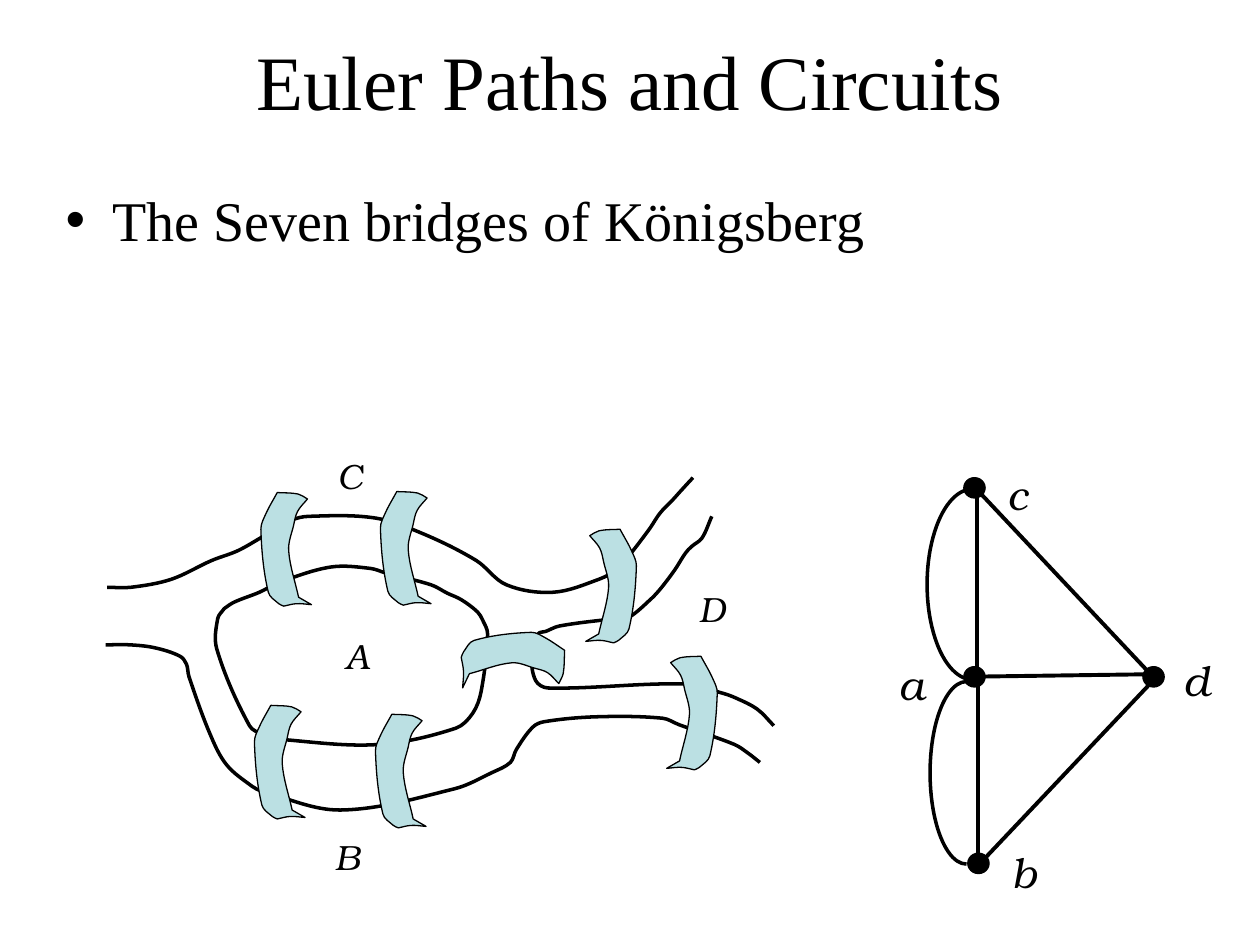
from dataclasses import dataclass
from math import hypot

from lxml.etree import SubElement
from pptx import Presentation
from pptx.dml.color import RGBColor
from pptx.enum.shapes import MSO_CONNECTOR, MSO_SHAPE
from pptx.enum.text import MSO_ANCHOR, MSO_AUTO_SIZE, PP_ALIGN
from pptx.oxml.ns import qn
from pptx.util import Cm, Pt


@dataclass(frozen=True)
class Theme:
    ink: RGBColor = RGBColor(0, 0, 0)
    bridge: RGBColor = RGBColor(0xBB, 0xE0, 0xE3)
    font: str = "Times New Roman"
    label_font: str = "TeX Gyre Bonum"
    title: Pt = Pt(44)
    body: Pt = Pt(32)
    node_label: Pt = Pt(24)
    land_label: Pt = Pt(20)
    thin: Pt = Pt(0.75)
    bank: Pt = Pt(2)
    edge: Pt = Pt(2.25)


@dataclass(frozen=True)
class Box:
    left: float
    top: float
    width: float
    height: float

    def inner(self, x, y, w, h):
        return Cm(self.left + x), Cm(self.top + y), Cm(w), Cm(h)


THEME = Theme()
LABEL_WIDTH = 1.02

NORTH_BANK = [
    (0.06, 2.84), (0.54, 2.84), (1.35, 2.68), (2.17, 2.3), (2.7, 2.1), (3.28, 1.77),
    (3.77, 1.49), (4.12, 1.41), (5.44, 1.44), (6.38, 1.74), (7.5, 2.3), (8.11, 2.79),
    (9.05, 2.94), (9.97, 2.68), (10.37, 2.46), (10.6, 2.18), (10.78, 1.95),
    (11.01, 1.64), (11.21, 1.34), (11.46, 1.08), (11.64, 0.88), (11.87, 0.63),
]
ISLAND = [
    (2.42, 3.27), (2.62, 3.14), (3.13, 2.94), (3.56, 2.73), (4.58, 2.43), (5.37, 2.46),
    (5.7, 2.56), (6.59, 2.79), (6.92, 2.96), (7.2, 3.09), (7.53, 3.34), (7.63, 3.5),
    (7.73, 3.78), (7.6, 4.94), (7.43, 5.38), (7.09, 5.68), (5.52, 6.01), (3.62, 5.91),
    (3.21, 5.81), (2.93, 5.63), (2.27, 4.08), (2.29, 3.47), (2.42, 3.27),
]
SOUTH_BANK = [
    (0.03, 4), (0.52, 4), (1.02, 4.06), (1.53, 4.23), (1.66, 4.39), (1.71, 4.64),
    (2.14, 5.81), (2.47, 6.42), (2.98, 6.85), (3.18, 6.95), (4.76, 7.33), (7.07, 6.9),
    (7.83, 6.57), (8.19, 6.37), (8.31, 6.11), (8.64, 5.66), (8.87, 5.55), (9.94, 5.45),
    (11.26, 5.48), (11.59, 5.61), (12.71, 6.01), (12.99, 6.19), (13.22, 6.37),
]
EAST_BANK = [
    (12.25, 1.41), (12.05, 1.85), (11.84, 2.02), (11.72, 2.15), (11.51, 2.48),
    (11.24, 2.84), (11.03, 3.07), (10.57, 3.45), (10.32, 3.47), (9.18, 3.62),
    (8.9, 3.73), (8.75, 3.78), (8.62, 4.23), (8.7, 4.72), (8.95, 4.87), (11.72, 4.79),
    (12.45, 4.97), (12.73, 5.07), (13.17, 5.3), (13.5, 5.63),
]
BRIDGE_SIZE = (1.02, 2.34)
BRIDGE = [
    (0.33, 0.05), (0.1, 0.48), (0, 0.79), (0.15, 2.06), (0.36, 2.29), (0.46, 2.34),
    (0.72, 2.29), (1.02, 2.31), (0.76, 2.16), (0.56, 1.22), (0.66, 0.71), (0.74, 0.43),
    (0.94, 0.18), (0.75, 0.08), (0.33, 0.05),
]
BRIDGE_CORNERS = {5, 7, 8, 12}


def add_run(p, text, font, size, italic=False):
    r = p.add_run()
    r.text = text
    r.font.name = font
    r.font.size = size
    r.font.italic = italic
    r.font.color.rgb = THEME.ink


def place(sp, box):
    sp.left, sp.top, sp.width, sp.height = box.inner(0, 0, box.width, box.height)


def style(sp, width, fill=None):
    sp.shadow.inherit = False
    sp.line.color.rgb = THEME.ink
    sp.line.width = width
    if fill is None:
        sp.fill.background()
    else:
        sp.fill.solid()
        sp.fill.fore_color.rgb = fill


def smooth_outline(sp, corners):
    pts = [(int(pt.get("x")), int(pt.get("y"))) for pt in sp.element.iter(qn("a:pt"))]
    sharp = corners | {0, len(pts) - 1}

    def handle(i, start, end, sign):
        length = hypot(end[0] - start[0], end[1] - start[1])
        (x0, y0), (x1, y1) = (start, end) if i in sharp else (pts[i - 1], pts[i + 1])
        reach = sign * length / 3 / hypot(x1 - x0, y1 - y0)
        return pts[i][0] + (x1 - x0) * reach, pts[i][1] + (y1 - y0) * reach

    for i, seg in enumerate(list(sp.element.iter(qn("a:lnTo")))):
        start, end = pts[i], pts[i + 1]
        seg.clear()
        curve = SubElement(seg.getparent(), qn("a:cubicBezTo"))
        seg.getparent().replace(seg, curve)
        for x, y in (handle(i, start, end, 1), handle(i + 1, start, end, -1), end):
            SubElement(curve, qn("a:pt"), x=str(round(x)), y=str(round(y)))


def add_outline(s, box, points, width, fill=None, closed=False, corners=frozenset()):
    pts = [(Cm(x), Cm(y)) for x, y in points]
    builder = s.shapes.build_freeform(*pts[0])
    builder.add_line_segments(pts[1:], close=closed)
    sp = builder.convert_to_shape(Cm(box.left), Cm(box.top))
    smooth_outline(sp, set(corners))
    style(sp, width, fill)
    return sp


def add_bridge(s, box, x, y, size=BRIDGE_SIZE, mirrored=False, rotation=0):
    sx, sy = size[0] / BRIDGE_SIZE[0], size[1] / BRIDGE_SIZE[1]
    points = [(x + sx * (BRIDGE_SIZE[0] - px if mirrored else px), y + sy * py)
              for px, py in BRIDGE]
    sp = add_outline(s, box, points, THEME.thin, THEME.bridge, True, BRIDGE_CORNERS)
    sp.rotation = rotation


def add_label(s, box, text, x, y, height, size):
    tf = s.shapes.add_textbox(*box.inner(x, y, LABEL_WIDTH, height)).text_frame
    tf.word_wrap = False
    add_run(tf.paragraphs[0], text, THEME.label_font, size, italic=True)


def add_edge(s, box, x1, y1, x2, y2):
    start, end = box.inner(x1, y1, 0, 0)[:2], box.inner(x2, y2, 0, 0)[:2]
    line = s.shapes.add_connector(MSO_CONNECTOR.STRAIGHT, *start, *end)
    line.line.color.rgb = THEME.ink
    line.line.width = THEME.edge
    SubElement(line.element.spPr, qn("a:effectLst"))


def fill_title(sp, box, text):
    place(sp, box)
    tf = sp.text_frame
    tf.vertical_anchor = MSO_ANCHOR.MIDDLE
    tf.auto_size = MSO_AUTO_SIZE.NONE
    p = tf.paragraphs[0]
    p.alignment = PP_ALIGN.CENTER
    add_run(p, text, THEME.font, THEME.title)


def fill_body(sp, box, text):
    place(sp, box)
    tf = sp.text_frame
    tf.auto_size = MSO_AUTO_SIZE.NONE
    p = tf.paragraphs[0]
    p.space_before = Pt(8)
    pPr = p._p.get_or_add_pPr()
    pPr.set("marL", str(Cm(0.95)))
    pPr.set("indent", str(Cm(-0.95)))
    SubElement(pPr, qn("a:buChar"), char="•")
    add_run(p, text, THEME.font, THEME.body)


def draw_graph(s, box):
    for ends in [(1.81, 0.48, 5.44, 4.34), (1.86, 4.34, 5.52, 4.29),
                 (1.91, 8.05, 1.91, 4.29), (1.89, 4.19, 1.89, 0.45),
                 (5.52, 4.34, 1.99, 8.07)]:
        add_edge(s, box, *ends)
    for bounds in [(0.89, 0.56, 1.83, 3.84), (0.95, 4.44, 1.47, 3.68)]:
        sp = s.shapes.add_shape(MSO_SHAPE.ARC, *box.inner(*bounds))
        sp.adjustments[0], sp.adjustments[1] = 54, 162
        style(sp, THEME.bank)
    for x, y in [(1.63, 0.33), (1.63, 4.14), (5.24, 4.14), (1.71, 7.9)]:
        sp = s.shapes.add_shape(MSO_SHAPE.OVAL, *box.inner(x, y, 0.43, 0.41))
        style(sp, THEME.thin, THEME.ink)
    for text, x, y in [("a", 0.06, 3.86), ("b", 2.34, 7.64),
                       ("c", 2.27, 0.02), ("d", 5.8, 3.76)]:
        add_label(s, box, text, x, y, 1.27, THEME.node_label)


def draw_map(s, box):
    for bank in (NORTH_BANK, ISLAND, SOUTH_BANK, EAST_BANK):
        add_outline(s, box, bank, THEME.bank, closed=bank is ISLAND)
    for x, y in [(3.16, 0.88), (5.57, 0.86), (3.03, 5.17), (5.47, 5.35)]:
        add_bridge(s, box, x, y)
    add_bridge(s, box, 7.68, 3.22, size=(1.12, 2.13), rotation=90)
    for x, y in [(9.71, 1.62), (11.34, 4.18)]:
        add_bridge(s, box, x, y, mirrored=True)
    for text, x, y in [("A", 4.61, 3.67), ("B", 4.4, 7.71),
                       ("C", 4.45, 0.04), ("D", 11.74, 2.71)]:
        add_label(s, box, text, x, y, 1.12, THEME.land_label)


def main():
    prs = Presentation()
    prs.slide_width, prs.slide_height = Cm(25.4), Cm(19.05)
    s = prs.slides.add_slide(prs.slide_layouts[1])
    fill_title(s.shapes.title, Box(1.27, 0.43, 22.86, 2.34), "Euler Paths and Circuits")
    fill_body(s.placeholders[1], Box(1.07, 3.61, 22.66, 4.45),
              "The Seven bridges of Königsberg")
    draw_graph(s, Box(17.8, 9.3, 6.9, 9))
    draw_map(s, Box(2.1, 9, 13.6, 8.9))
    prs.save("out.pptx")


if __name__ == "__main__":
    main()
